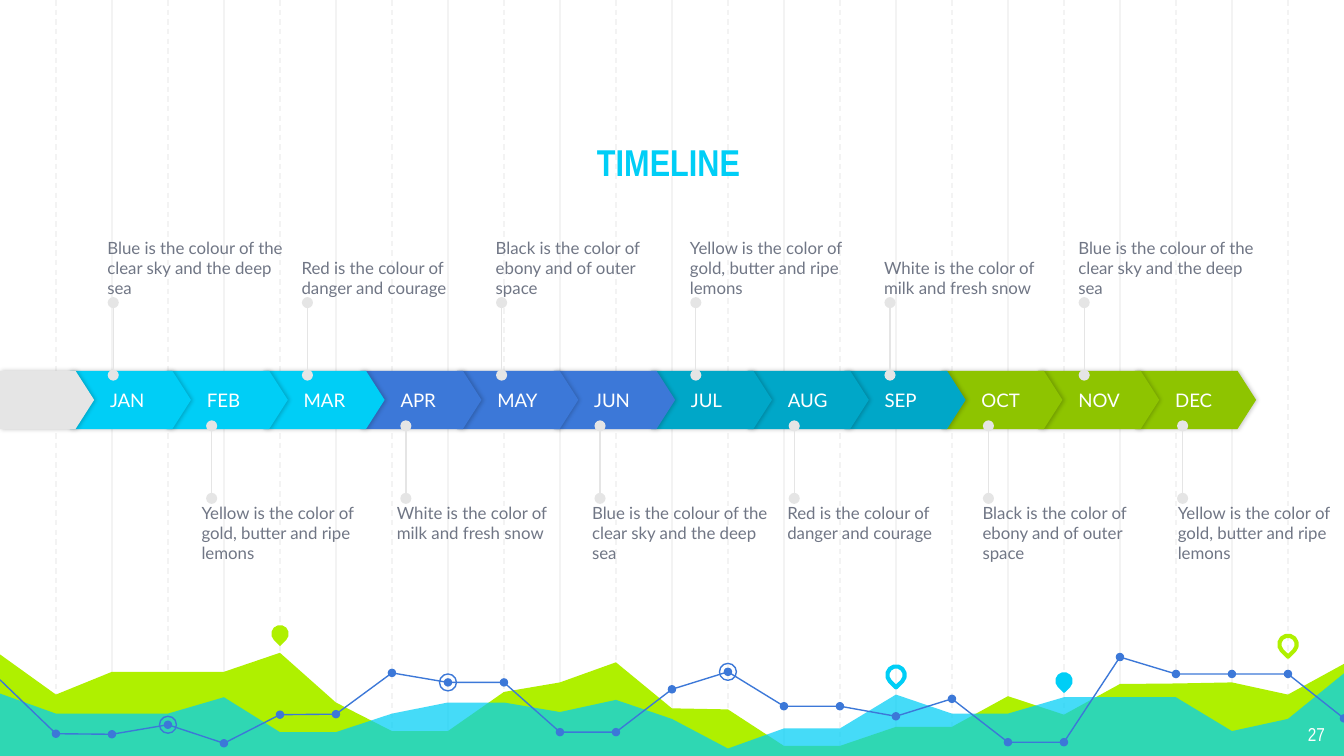
from lxml.etree import SubElement
from pptx import Presentation
from pptx.dml.color import RGBColor as RGB
from pptx.enum.dml import MSO_LINE
from pptx.enum.shapes import MSO_CONNECTOR, MSO_SHAPE as SHAPE
from pptx.enum.text import MSO_ANCHOR as ANCHOR, MSO_AUTO_SIZE, PP_ALIGN as ALIGN
from pptx.oxml.ns import qn
from pptx.util import Cm, Pt

CYAN = RGB(0x00, 0xCE, 0xF6)
LIME = RGB(0xAF, 0xF0, 0x00)
BLUE = RGB(0x3C, 0x78, 0xD8)
TEAL = RGB(0x00, 0xA7, 0xC8)
GREEN = RGB(0x8E, 0xC4, 0x00)
SILVER = RGB(0xE5, 0xE5, 0xE5)
PALE = RGB(0xF3, 0xF3, 0xF3)
SLATE = RGB(0x70, 0x76, 0x85)
WHITE = RGB(0xFF, 0xFF, 0xFF)
WIDTH, HEIGHT, COLUMNS = 25.4, 14.29, 24

MONTHS = "JAN FEB MAR APR MAY JUN JUL AUG SEP OCT NOV DEC".split()
QUARTERS = [CYAN, BLUE, TEAL, GREEN]
SKY = "Blue is the colour of the clear sky and the deep sea"
RED = "Red is the colour of danger and courage"
BLACK = "Black is the color of ebony and of outer space"
YELLOW = "Yellow is the color of gold, butter and ripe lemons"
MILK = "White is the color of milk and fresh snow"

LIME_AREA = [0.07, 0.83, 0.4, 0.4, 0.4, 0.04, 0.98, 1.52, 1.52, 0.78, 0.6, 0.22, 1.09,
             1.11, 1.8, 1.8, 1.44, 1.44, 0.86, 1.21, 0.63, 0.62, 0.6, 0.83, 0.25]
CYAN_AREA = [0.81, 1.19, 1.19, 1.19, 0.88, 1.54, 1.54, 1.19, 0.98, 0.98, 1.16, 0.93, 1.29,
             1.85, 1.47, 1.47, 0.83, 1.19, 1.19, 0.88, 0.88, 0.88, 1.52, 1.29, 0.43]
TREND = [0.55, 1.57, 1.58, 1.4, 1.75, 1.21, 1.2, 0.42, 0.6, 0.6, 1.54, 1.54, 0.73,
         0.4, 1.05, 1.05, 1.24, 0.91, 1.73, 1.73, 0.12, 0.44, 0.44, 0.44, 1.28]
PINS = [(5, -0.32, LIME, True), (16, 0.46, CYAN, False),
        (19, 0.57, CYAN, True), (23, -0.12, LIME, False)]
RINGS = [3, 8, 13]


def write(tf, text, size=9, color=SLATE, font="Lato", bold=False,
          align=ALIGN.LEFT, anchor=ANCHOR.TOP, inset=0, left=None):
    """Put one formatted paragraph into a text frame."""
    tf.word_wrap, tf.auto_size = True, MSO_AUTO_SIZE.NONE
    tf.vertical_anchor = anchor
    tf.margin_left = Cm(inset if left is None else left)
    tf.margin_right = tf.margin_top = tf.margin_bottom = Cm(inset)
    p = tf.paragraphs[0]
    p.alignment = align
    r = p.add_run()
    r.text = text
    r.font.size, r.font.name, r.font.bold = Pt(size), font, bold
    r.font.color.rgb = color


def paint(sp, fill=None, line=None, weight=0.75):
    """Give a shape a flat fill and outline without a shadow."""
    sp.shadow.inherit = False
    if fill is None:
        sp.fill.background()
    else:
        sp.fill.solid()
        sp.fill.fore_color.rgb = fill
    if line is None:
        sp.line.fill.background()
    else:
        sp.line.color.rgb, sp.line.width = line, Pt(weight)
    return sp


def add_mark(s, kind, x, y, size, **style):
    """Draw a small shape centred on a point."""
    sp = s.shapes.add_shape(kind, Cm(x - size / 2), Cm(y - size / 2), Cm(size), Cm(size))
    return paint(sp, **style)


def add_rule(s, x, y1, y2, color, dash=None, ends=None):
    """Draw a vertical line, dashed or with end marks if asked."""
    cn = s.shapes.add_connector(MSO_CONNECTOR.STRAIGHT, Cm(x), Cm(y1), Cm(x), Cm(y2))
    cn.line.color.rgb, cn.line.width = color, Pt(0.75)
    if dash:
        cn.line.dash_style = dash
    if ends:
        ln = cn.element.spPr.find(qn("a:ln"))
        for tag in ("a:headEnd", "a:tailEnd"):
            SubElement(ln, qn(tag), type=ends)
    SubElement(cn.element.spPr, qn("a:effectLst"))


def add_path(s, points, close):
    """Draw a freeform through points given in centimetres."""
    (x, y), *rest = [(Cm(px), Cm(py)) for px, py in points]
    fb = s.shapes.build_freeform(x, y)
    fb.add_line_segments(rest, close=close)
    return fb.convert_to_shape()


def add_grid(s, left, top, width, height):
    """Fill the box with alternating dashed and solid column lines."""
    for i in range(1, COLUMNS):
        dash = MSO_LINE.DASH if i % 2 else None
        add_rule(s, left + i * width / COLUMNS, top, top + height, PALE, dash)


def add_landscape(s, left, top, width, height):
    """Draw the areas, trend line and pins along the foot of the slide."""
    def place(depths):
        return [(left + i * width / COLUMNS, top + d) for i, d in enumerate(depths)]

    base = [(left + width, top + height), (left, top + height)]
    paint(add_path(s, place(LIME_AREA) + base, True), fill=LIME)
    area = paint(add_path(s, place(CYAN_AREA) + base, True), fill=CYAN)
    color = area.element.spPr.find(qn("a:solidFill"))[0]
    SubElement(color, qn("a:alpha"), val="73000")

    points = place(TREND)
    paint(add_path(s, points, False), line=BLUE)
    for x, y in points[1:]:
        add_mark(s, SHAPE.OVAL, x, y, 0.16, fill=BLUE)
    for i in RINGS:
        add_mark(s, SHAPE.OVAL, *points[i], 0.32, line=BLUE)
    for column, depth, color, solid in PINS:
        style = {"fill": color} if solid else {"line": color, "weight": 2.25}
        x = left + column * width / COLUMNS
        add_mark(s, SHAPE.TEAR, x, top + depth, 0.33, **style).rotation = 135


def add_plate(s, left, top, width, height, fill):
    """Draw one arrow plate with a soft shadow."""
    sp = s.shapes.add_shape(SHAPE.PENTAGON, Cm(left), Cm(top), Cm(width), Cm(height))
    sp.adjustments[0] = 0.32
    paint(sp, fill=fill)
    effects = sp.element.spPr.find(qn("a:effectLst"))
    shadow = SubElement(effects, qn("a:outerShdw"), blurRad=str(Pt(2.25)),
                        dist=str(Pt(0.75)), dir="0", rotWithShape="0")
    color = SubElement(shadow, qn("a:srgbClr"), val="000000")
    SubElement(color, qn("a:alpha"), val="20000")
    return sp


def add_months(s, left, top, step, height):
    """Lay overlapping month plates, the last one at the back."""
    for i, month in reversed(list(enumerate(MONTHS))):
        sp = add_plate(s, left + i * step, top, 2.29, height, QUARTERS[i // 3])
        write(sp.text_frame, month, size=10, color=WHITE, anchor=ANCHOR.MIDDLE, left=0.76)
    add_plate(s, 0, top, 1.78, height, SILVER)


def add_notes(s, left, top, step, height, texts, stem, anchor):
    """Place a row of notes, each with a stem given as x, step, start and end."""
    x, stem_step, start, end = stem
    for i, text in enumerate(texts):
        add_rule(s, x + i * stem_step, start, end, SILVER, ends="oval")
        at = left + i * step
        tb = s.shapes.add_textbox(Cm(at), Cm(top), Cm(min(3.48, 25.2 - at)), Cm(height))
        write(tb.text_frame, text, anchor=anchor)


def add_title(s, left, top, width, height):
    """Move the title placeholder to the front and fill it."""
    sp = s.shapes.title
    sp.left, sp.top, sp.width, sp.height = Cm(left), Cm(top), Cm(width), Cm(height)
    write(sp.text_frame, "TIMELINE", size=20, color=CYAN, font="Arial Narrow", bold=True,
          align=ALIGN.CENTER, anchor=ANCHOR.BOTTOM, inset=0.25)
    s.shapes.element.append(sp.element)


def add_number(s, left, top, width, height):
    """Write the slide number."""
    tb = s.shapes.add_textbox(Cm(left), Cm(top), Cm(width), Cm(height))
    write(tb.text_frame, "27", size=10, color=WHITE, font="Arial Narrow",
          align=ALIGN.RIGHT, inset=0.25)


def main():
    """Build the timeline slide."""
    prs = Presentation()
    prs.slide_width, prs.slide_height = Cm(WIDTH), Cm(HEIGHT)
    s = prs.slides.add_slide(prs.slide_layouts[5])
    add_grid(s, 0, 0, WIDTH, HEIGHT)
    add_landscape(s, 0, 12.3, WIDTH, HEIGHT - 12.3)
    add_title(s, 2.92, 1.75, 19.43, 1.98)
    add_number(s, 23.77, 13.41, 1.52, 0.88)
    add_months(s, 1.32, 7.01, 1.83, 1.1)
    add_notes(s, 2.03, 4.17, 3.67, 1.47, [SKY, RED, BLACK, YELLOW, MILK, SKY],
              (2.14, 3.67, 7.09, 5.72), ANCHOR.BOTTOM)
    add_notes(s, 3.81, 9.5, 3.69, 1.47, [YELLOW, MILK, SKY, RED, BLACK, YELLOW],
              (4.0, 3.67, 9.42, 8.05), ANCHOR.TOP)
    prs.save("out.pptx")


if __name__ == "__main__":
    main()
